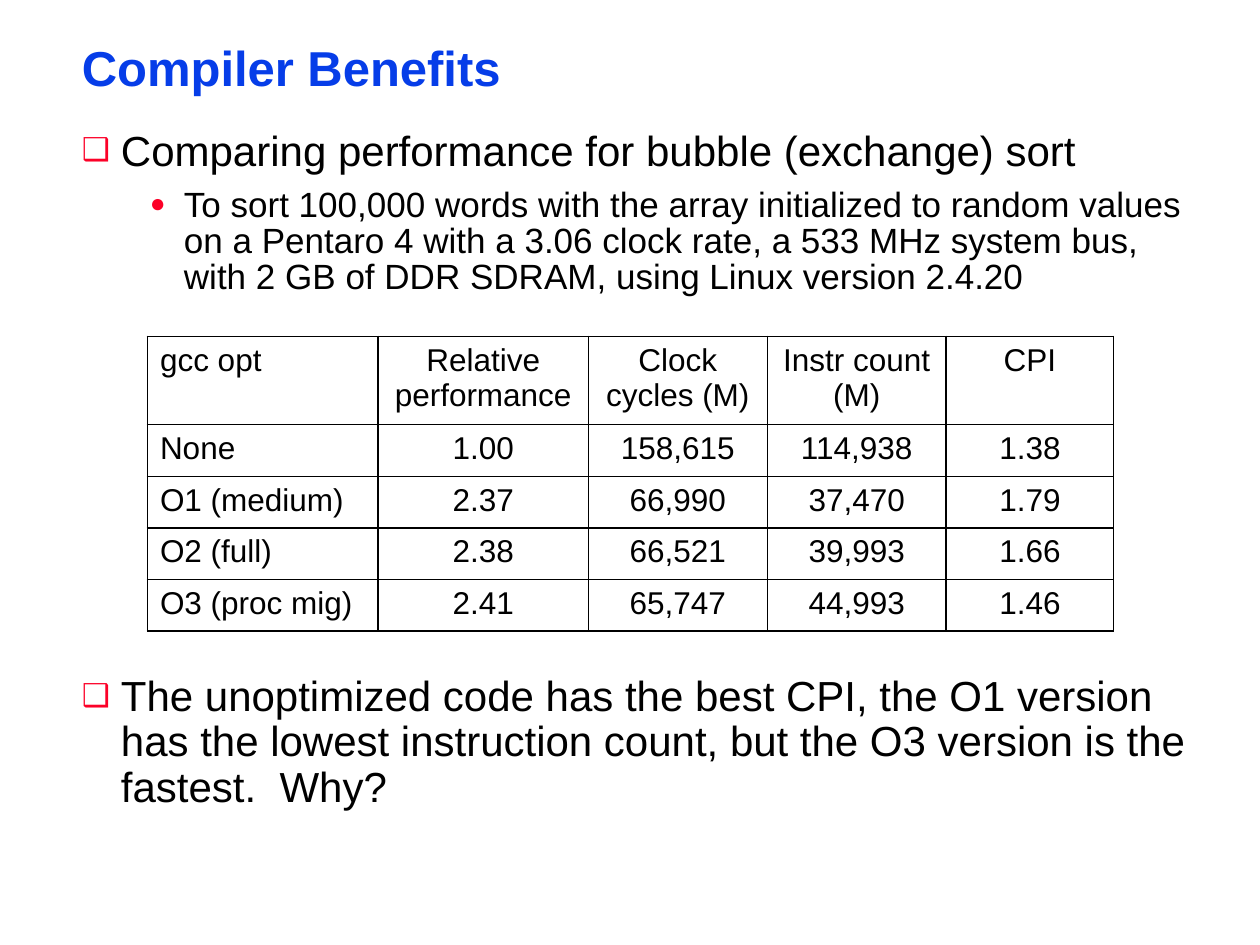
from dataclasses import dataclass

from lxml import etree
from pptx import Presentation
from pptx import util as u
from pptx.dml.color import RGBColor
from pptx.enum import text
from pptx.oxml import ns


@dataclass(frozen=True)
class Theme:
    """Colours, font and type sizes of the slide."""
    font: str = "Arial"
    title: str = "063DE8"
    ink: str = "000000"
    accent: str = "FC0128"
    title_size: int = 28
    point_size: int = 24
    detail_size: int = 20
    table_size: int = 18


THEME = Theme()
LEFT, WIDTH = 0.58, 8.92
POINT = dict(size=THEME.point_size, spacing=0.9, bullet="❑", margin=0.31, hanging=0.31)
DETAIL = dict(size=THEME.detail_size, spacing=0.85, before=8, bullet="●",
              margin=0.81, hanging=0.27, level=1)
COLUMN_WIDTHS = [1.83, 1.67, 1.42, 1.42, 1.33]
HEADER_HEIGHT, ROW_HEIGHT = 0.66, 0.41
RESULTS = [
    ["gcc opt", "Relative performance", "Clock cycles (M)", "Instr count (M)", "CPI"],
    ["None", "1.00", "158,615", "114,938", "1.38"],
    ["O1 (medium)", "2.37", "66,990", "37,470", "1.79"],
    ["O2 (full)", "2.38", "66,521", "39,993", "1.66"],
    ["O3 (proc mig)", "2.41", "65,747", "44,993", "1.46"],
]


def add_child(parent, tag, **attributes):
    """Append a DrawingML element with the given attributes."""
    child = etree.SubElement(parent, ns.qn(tag))
    for name, value in attributes.items():
        child.set(name, str(value))
    return child


def add_bullet(paragraph, mark, margin, hanging):
    """Give a paragraph a hanging accent-coloured bullet."""
    properties = paragraph._p.get_or_add_pPr()
    properties.set("marL", str(u.Inches(margin)))
    properties.set("indent", str(-u.Inches(hanging)))
    colour = add_child(properties, "a:buClr")
    add_child(colour, "a:srgbClr", val=THEME.accent)
    add_child(properties, "a:buSzPct", val=75000)
    add_child(properties, "a:buFont", typeface=THEME.font)
    add_child(properties, "a:buChar", char=mark)


def write(paragraph, words, size, colour=THEME.ink, bold=False, spacing=None, before=0,
          align=text.PP_ALIGN.LEFT, bullet=None, margin=0, hanging=0, level=0):
    """Fill a paragraph with formatted text."""
    paragraph.level = level
    if bullet:
        add_bullet(paragraph, bullet, margin, hanging)
    paragraph.alignment = align
    paragraph.space_before = u.Pt(before)
    if spacing:
        paragraph.line_spacing = spacing
    run = paragraph.add_run()
    run.text = words
    run.font.name = THEME.font
    run.font.size = u.Pt(size)
    run.font.bold = bold
    run.font.color.rgb = RGBColor.from_string(colour)


def add_text(slide, top, height, *paragraphs):
    """Add a full-width text box of (words, format) paragraphs."""
    frame = slide.shapes.add_textbox(
        u.Inches(LEFT), u.Inches(top), u.Inches(WIDTH), u.Inches(height)).text_frame
    frame.word_wrap = True
    frame.auto_size = text.MSO_AUTO_SIZE.SHAPE_TO_FIT_TEXT
    frame.margin_left = frame.margin_right = u.Inches(0.07)
    frame.margin_top = frame.margin_bottom = u.Inches(0.03)
    for index, (words, style) in enumerate(paragraphs):
        paragraph = frame.add_paragraph() if index else frame.paragraphs[0]
        write(paragraph, words, **style)


def outline_cell(cell):
    """Draw thin lines on all four sides of a cell."""
    properties = cell._tc.get_or_add_tcPr()
    for side in ("a:lnL", "a:lnR", "a:lnT", "a:lnB"):
        fill = add_child(add_child(properties, side, w=u.Pt(1)), "a:solidFill")
        add_child(fill, "a:srgbClr", val=THEME.ink)


def add_results(slide, left, top):
    """Add the table of results, with centred value columns."""
    height = HEADER_HEIGHT + ROW_HEIGHT * (len(RESULTS) - 1)
    results = slide.shapes.add_table(
        len(RESULTS), len(COLUMN_WIDTHS), u.Inches(left), u.Inches(top),
        u.Inches(sum(COLUMN_WIDTHS)), u.Inches(height)).table
    results.first_row = results.horz_banding = False
    for column, width in zip(results.columns, COLUMN_WIDTHS):
        column.width = u.Inches(width)
    for r, values in enumerate(RESULTS):
        results.rows[r].height = u.Inches(ROW_HEIGHT if r else HEADER_HEIGHT)
        for c, value in enumerate(values):
            cell = results.cell(r, c)
            outline_cell(cell)
            cell.fill.background()
            align = text.PP_ALIGN.CENTER if c else text.PP_ALIGN.LEFT
            write(cell.text_frame.paragraphs[0], value, size=THEME.table_size, align=align)


def main():
    """Build and save the slide."""
    deck = Presentation()
    deck.slide_width, deck.slide_height = u.Inches(10), u.Inches(7.5)
    slide = deck.slides.add_slide(deck.slide_layouts[6])
    add_text(slide, 0.33, 0.46, (
        "Compiler Benefits",
        dict(size=THEME.title_size, colour=THEME.title, bold=True, spacing=0.87)))
    add_text(
        slide, 1, 1.41,
        ("Comparing performance for bubble (exchange) sort", POINT),
        ("To sort 100,000 words with the array initialized to random values on a "
         "Pentaro 4 with a 3.06 clock rate, a 533 MHz system bus, with 2 GB of DDR "
         "SDRAM, using Linux version 2.4.20", DETAIL))
    add_results(slide, 1.17, 2.67)
    add_text(slide, 5.33, 1.15, (
        "The unoptimized code has the best CPI, the O1 version has the lowest "
        "instruction count, but the O3 version is the fastest.  Why?", POINT))
    deck.save("out.pptx")


if __name__ == "__main__":
    main()
